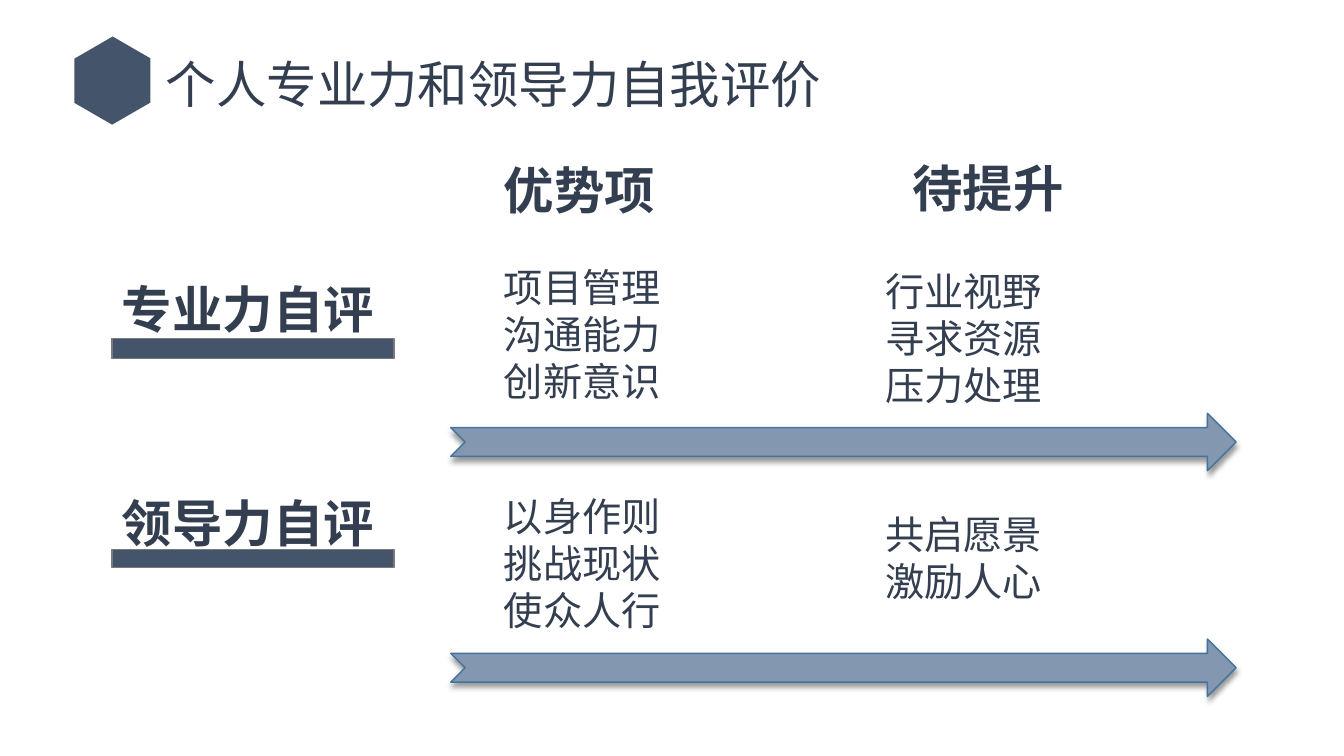
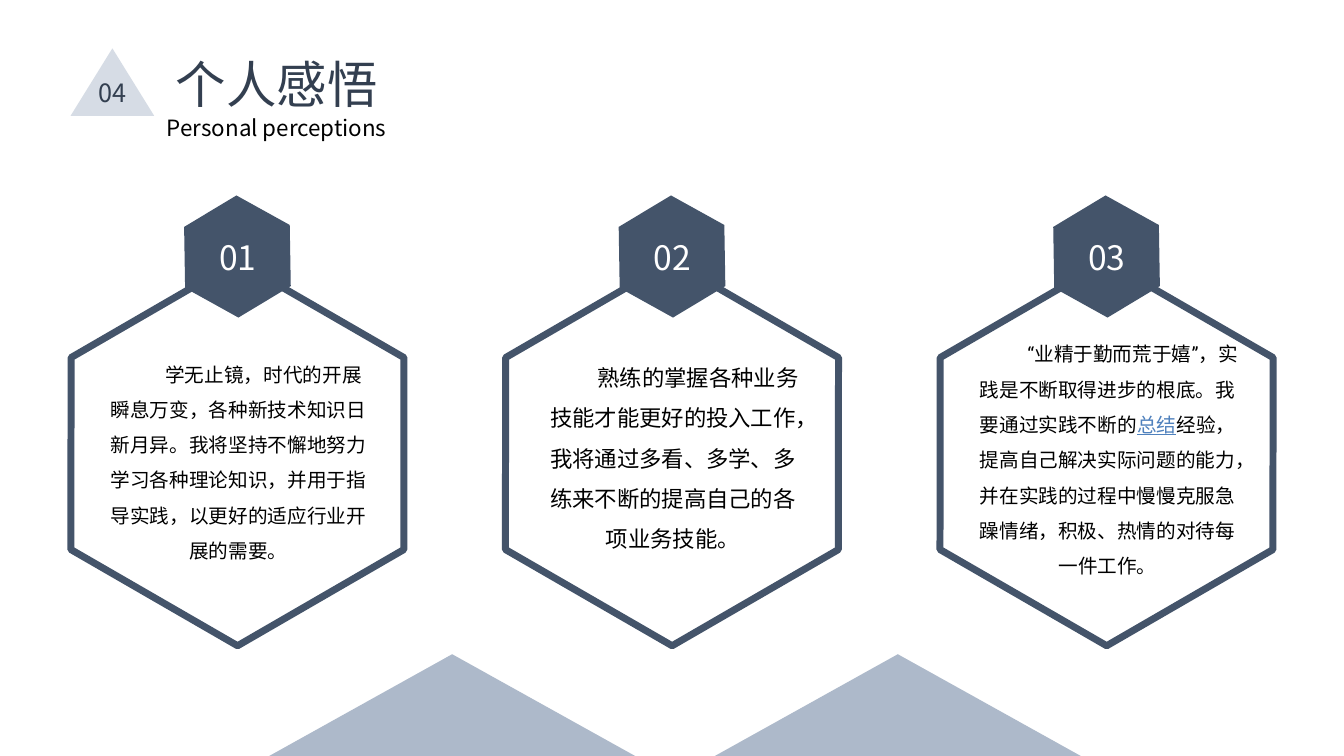
from dataclasses import dataclass

from lxml.etree import SubElement
from pptx import Presentation
from pptx.dml.color import RGBColor as Rgb
from pptx.enum.shapes import MSO_SHAPE as Kind
from pptx.enum.text import MSO_AUTO_SIZE as Fit, PP_ALIGN as Align
from pptx.oxml.ns import qn
from pptx.util import Emu, Pt

PX = 9144


def px(*nums):
    """Turn px lengths into EMU."""
    return [Emu(n * PX) for n in nums]


@dataclass(frozen=True)
class Theme:
    """Colours, fonts and type sizes."""

    ink: str = "333F50"
    navy: str = "44546A"
    steel: str = "8497B0"
    mist: str = "ADB9CA"
    pale: str = "D6DCE5"
    edge: str = "43739E"
    gray: str = "7A7A7A"
    link: str = "4F81BD"
    black: str = "000000"
    white: str = "FFFFFF"
    head: str = "Calibri"
    body: str = "Roboto"
    plain: str = "Noto Sans CJK SC"
    big: int = 36
    list: int = 28
    count: int = 24
    tag: int = 18
    mid: int = 16
    small: int = 14


T = Theme()


class Deck:
    """Hold the style and the current slide."""

    def __init__(self):
        """Start an empty deck."""
        self.prs = Presentation()
        self.prs.slide_width, self.prs.slide_height = px(1333, 750)
        self.slide = None

    def page(self):
        """Add a blank slide."""
        self.slide = self.prs.slides.add_slide(self.prs.slide_layouts[6])

    def text(self, box, paras, align=Align.LEFT, indent=0, space=None, **base):
        """Write paragraphs, each a string or a list of (text, format) runs."""
        frame = self.slide.shapes.add_textbox(*px(*box)).text_frame
        frame.word_wrap = True
        frame.auto_size = Fit.SHAPE_TO_FIT_TEXT
        for i, runs in enumerate(paras):
            para = frame.add_paragraph() if i else frame.paragraphs[0]
            para.alignment = align
            if space:
                para.line_spacing = space
            if indent:
                para._p.get_or_add_pPr().set("indent", str(indent * PX))
            for words, extra in [(runs, {})] if isinstance(runs, str) else runs:
                self.run(para, words, **{**base, **extra})

    def run(self, para, words, size=T.big, face=T.head, color=T.ink,
            bold=False, under=False):
        """Add one run with its format."""
        run = para.add_run()
        run.text = words
        font = run.font
        font.size, font.name, font.bold = Pt(size), face, bold
        font.underline = under
        font.color.rgb = Rgb.from_string(color)
        SubElement(run._r.get_or_add_rPr(), qn("a:ea")).set("typeface", face)

    def shape(self, kind, box, fill=None, line=None, width=1):
        """Add a preset shape without a shadow."""
        item = self.slide.shapes.add_shape(kind, *px(*box))
        item.shadow.inherit = False
        if fill:
            item.fill.solid()
            item.fill.fore_color.rgb = Rgb.from_string(fill)
        else:
            item.fill.background()
        if line:
            item.line.color.rgb = Rgb.from_string(line)
            item.line.width = Pt(width)
        else:
            item.line.fill.background()
        return item

    def hexa(self, box, turn=30, **style):
        """Add a regular hexagon that stands on a corner."""
        item = self.shape(Kind.HEXAGON, box, **style)
        item.rotation = turn
        item.adjustments[0] = 0.288
        item.adjustments[1] = 1.155

    def arrow(self, box):
        """Add a notched arrow with a soft shadow."""
        item = self.shape(Kind.NOTCHED_RIGHT_ARROW, box, T.steel, T.edge)
        effect = item._element.spPr.find(qn("a:effectLst"))
        shade = SubElement(effect, qn("a:outerShdw"), blurRad=str(Pt(4)),
                           dist=str(Pt(3)), dir="5400000", rotWithShape="0")
        color = SubElement(shade, qn("a:srgbClr"), val=T.black)
        SubElement(color, qn("a:alpha"), val="40000")

    def title(self, words, width, sub=None):
        """Write the slide title and its optional second line."""
        paras = [words]
        if sub:
            paras.append([(sub, dict(size=T.mid, face=T.plain, color=T.black))])
        self.text((111, 48, width, 98), paras, align=Align.CENTER)

    def label(self, left, top, words):
        """Write a bold heading."""
        self.text((left, top, 280, 71), [words], bold=True)

    def card(self, left, num, top, size, runs):
        """Draw a numbered hexagon card with its text."""
        self.hexa((left, 285, 381, 330), line=T.navy, width=5)
        self.hexa((left + 130, 202, 121, 105), turn=29, fill=T.navy)
        self.text((left + 153, 230, 76, 50), [num], align=Align.CENTER,
                  size=T.count, face=T.plain, color=T.white)
        self.text((left + 51, top, 281, 218), [runs], align=Align.CENTER,
                  indent=50, space=1.5, size=size, face=T.body, color=T.black)


def rate(deck):
    """Build the self-rating slide."""
    deck.page()
    deck.title("个人专业力和领导力自我评价", 757)
    deck.hexa((68, 42, 87, 76), fill=T.navy)
    deck.label(490, 153, "优势项")
    deck.label(895, 151, "待提升")
    rows = [
        ("专业力自评", 271, (336, 20), 410,
         (256, ["项目管理", "沟通能力", "创新意识"]),
         (260, ["行业视野", "寻求资源", "压力处理"])),
        ("领导力自评", 483, (545, 18), 634,
         (483, ["以身作则", "挑战现状", "使众人行"]),
         (501, ["共启愿景", "激励人心"])),
    ]
    for name, top, (bar, high), base, *lists in rows:
        deck.label(111, top, name)
        deck.shape(Kind.RECTANGLE, (111, bar, 280, high), T.navy, T.gray)
        for left, (start, items) in zip((490, 868), lists):
            deck.text((left, start, 280, 10 + 47 * len(items)), items,
                      size=T.list)
        deck.arrow((447, base, 779, 57))


def learn(deck):
    """Build the personal insights slide."""
    deck.page()
    deck.title("个人感悟", 327, "Personal perceptions")
    deck.shape(Kind.ISOSCELES_TRIANGLE, (70, 48, 83, 67), T.pale)
    deck.text((70, 72, 83, 40), ["04"], align=Align.CENTER,
              size=T.tag, face=T.plain)
    for left in (267, 709):
        deck.shape(Kind.ISOSCELES_TRIANGLE, (left, 649, 363, 101), T.mist)
    cards = [
        (343, T.small, "学无止镜，时代的开展瞬息万变，各种新技术知识日新月异。"
         "我将坚持不懈地努力学习各种理论知识，并用于指导实践，"
         "以更好的适应行业开展的需要。"),
        (343, T.mid, "熟练的掌握各种业务技能才能更好的投入工作，"
         "我将通过多看、多学、多练来不断的提高自己的各项业务技能。"),
        (323, T.small, [
            ("“业精于勤而荒于嬉”，实践是不断取得进步的根底。"
             "我要通过实践不断的", {}),
            ("总结", dict(color=T.link, under=True)),
            ("经验，提高自己解决实际问题的能力，并在实践的过程中"
             "慢慢克服急躁情绪，积极、热情的对待每一件工作。", {})]),
    ]
    for i, card in enumerate(cards):
        deck.card(45 + 431 * i, f"{i + 1:02}", *card)


def main():
    """Build and save the deck."""
    deck = Deck()
    rate(deck)
    learn(deck)
    deck.prs.save("out.pptx")


if __name__ == "__main__":
    main()
